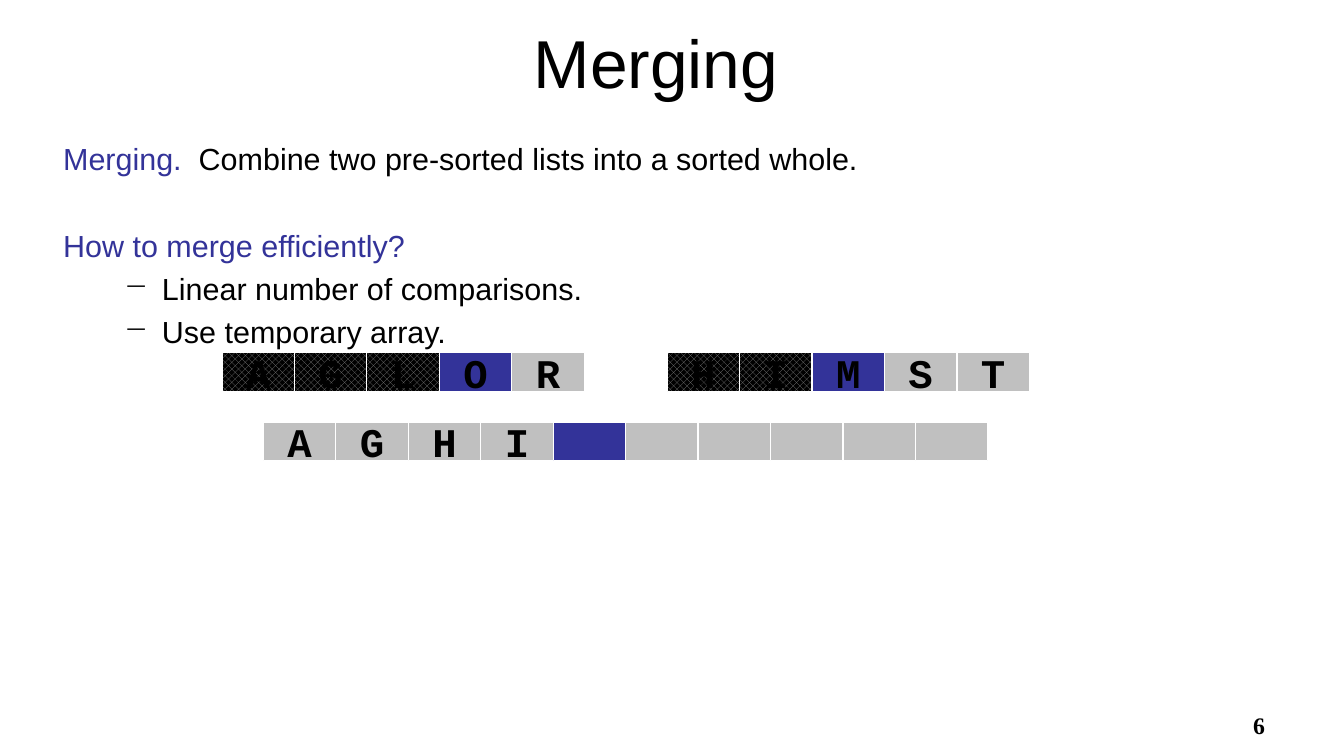
import pptx
import pptx.util
import pptx.dml.color
import pptx.enum.dml
import pptx.enum.shapes
import pptx.enum.text
import pptx.oxml.ns
import lxml.etree

In, Pt = pptx.util.Inches, pptx.util.Pt
RGB = pptx.dml.color.RGBColor
ALIGN = pptx.enum.text.PP_ALIGN
ANCHOR = pptx.enum.text.MSO_ANCHOR

BLACK = RGB(0x00, 0x00, 0x00)
WHITE = RGB(0xFF, 0xFF, 0xFF)
BLUE = RGB(0x33, 0x33, 0x99)
SILVER = RGB(0xC0, 0xC0, 0xC0)
GRAY = RGB(0x80, 0x80, 0x80)

W, H = 11.02, 6.2
MARGIN = 0.42
ARRAY_W = 5.94
CELL_W, CELL_H = ARRAY_W / 10, 0.32

prs = pptx.Presentation()
prs.slide_width, prs.slide_height = In(W), In(H)
s = prs.slides.add_slide(prs.slide_layouts[6])


def add_run(p, text, size=18, font="Arial", color=BLACK, bold=False, align=ALIGN.LEFT):
    p.alignment = align
    r = p.add_run()
    r.text = text
    r.font.size, r.font.name, r.font.bold = Pt(size), font, bold
    r.font.color.rgb = color


def add_box(left, top, width, height, anchor=ANCHOR.TOP):
    tf = s.shapes.add_textbox(In(left), In(top), In(width), In(height)).text_frame
    tf.word_wrap = True
    tf.vertical_anchor = anchor
    return tf


# Title and page number
title = add_box(MARGIN, 0.09, 0.9 * W, 0.82, ANCHOR.MIDDLE)
add_run(title.paragraphs[0], "Merging", size=40, align=ALIGN.CENTER)
number = add_box(7.9, 5.78, 2.57, 0.29)
add_run(number.paragraphs[0], "6", size=14, font="Times New Roman", bold=True, align=ALIGN.RIGHT)

# Body: space before, bulleted, runs
body = [
    (4, False, [("Merging.  ", BLUE), ("Combine two pre-sorted lists into a sorted whole.", BLACK)]),
    (29.5, False, [("How to merge efficiently?", BLUE)]),
    (4, True, [("Linear number of comparisons.", BLACK)]),
    (4, True, [("Use temporary array.", BLACK)]),
]
tf = add_box(MARGIN, 1.1, 0.9 * W, 0.74 * H)
for i, (space, bulleted, runs) in enumerate(body):
    p = tf.add_paragraph() if i else tf.paragraphs[0]
    p.space_before = Pt(space)
    for text, color in runs:
        add_run(p, text, color=color)
    if bulleted:
        p.level = 1
        pPr = p._p.get_or_add_pPr()
        pPr.set("marL", str(In(0.81)))
        pPr.set("indent", str(In(-0.31)))
        bullet = lxml.etree.SubElement(pPr, pptx.oxml.ns.qn("a:buChar"))
        bullet.set("char", "−")

# Arrays: left, top, letters, cell states (x = used, > = current, . = plain)
arrays = [
    (1.82, 2.89, "AGLOR", "xxx>."),
    (5.47, 2.89, "HIMST", "xx>.."),
    (2.16, 3.46, "AGHI", "....>....."),
]
for left, top, letters, states in arrays:
    for col, state in enumerate(states):
        sp = s.shapes.add_shape(pptx.enum.shapes.MSO_SHAPE.RECTANGLE,
                                In(left + col * CELL_W), In(top), In(CELL_W), In(CELL_H))
        sp.shadow.inherit = False
        sp.line.color.rgb, sp.line.width = WHITE, Pt(0.75)
        if state == "x":
            sp.fill.patterned()
            sp.fill.pattern = pptx.enum.dml.MSO_PATTERN.OUTLINED_DIAMOND
            sp.fill.fore_color.rgb, sp.fill.back_color.rgb = GRAY, BLACK
        else:
            sp.fill.solid()
            sp.fill.fore_color.rgb = BLUE if state == ">" else SILVER
        if col < len(letters):
            tf = sp.text_frame
            tf.word_wrap = False
            tf.vertical_anchor = ANCHOR.MIDDLE
            add_run(tf.paragraphs[0], letters[col], size=24, font="Courier New",
                    bold=True, align=ALIGN.CENTER)

prs.save("out.pptx")
